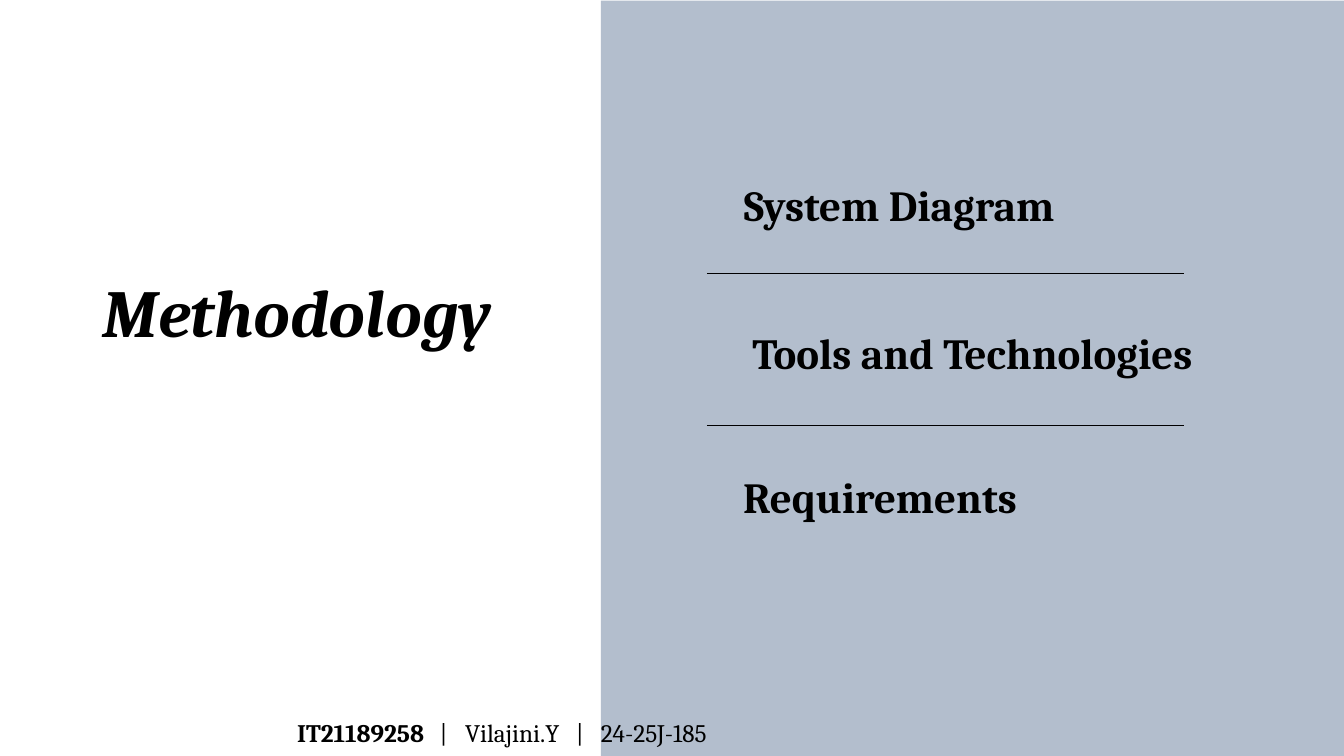
from dataclasses import dataclass

from lxml import etree
from pptx import Presentation
from pptx.dml.color import RGBColor
from pptx.enum.shapes import MSO_CONNECTOR, MSO_SHAPE
from pptx.enum.text import PP_ALIGN
from pptx.oxml.ns import qn
from pptx.slide import Slide
from pptx.text.text import _Paragraph
from pptx.util import Inches, Pt

LEFT, CENTER = PP_ALIGN.LEFT, PP_ALIGN.CENTER
RECTANGLE = MSO_SHAPE.RECTANGLE
STRAIGHT = MSO_CONNECTOR.STRAIGHT

FONT = "Cambria"
COLORS = {"panel": "B3BECD", "ink": "000000"}
LINE_HEIGHT = 1.2
TOPIC_SIZE = 46
DIVIDER_LEFT, DIVIDER_RIGHT = 10.52, 17.62
DIVIDER_TOPS = (4.07, 6.33)
FOOTER_TABS = ((2.18, "ctr"), (2.5, "l"), (4.21, "ctr"), (4.52, "l"))


@dataclass
class Label:
    text: str
    left: float
    top: float
    width: float
    height: float
    size: float
    align: PP_ALIGN = CENTER


TITLE = Label("Methodology", 1.21, 4.03, 6.42, 1.23, 72)
TOPICS = (
    Label("System Diagram", 10.83, 2.66, 5.1, 0.78, TOPIC_SIZE),
    Label("Tools and Technologies", 10.71, 4.86, 7.52, 0.78, TOPIC_SIZE),
    Label("Requirements", 10.52, 7, 5.15, 0.78, TOPIC_SIZE),
)
FOOTER = Label("IT21189258", 4.42, 10.68, 10.99, 0.49, 27, LEFT)
FOOTER_DETAILS = "\t|\tVilajini.Y\t|\t24-25J-185"


def rgb(name: str) -> RGBColor:
    return RGBColor.from_string(COLORS[name])


def add_run(p: _Paragraph, text: str, size: float, bold: bool = True):
    r = p.add_run()
    r.text = text
    r.font.name = FONT
    r.font.size = Pt(size)
    r.font.bold = bold
    r.font.color.rgb = rgb("ink")
    return r


def add_label(s: Slide, label: Label) -> _Paragraph:
    box = s.shapes.add_textbox(Inches(label.left), Inches(label.top),
                               Inches(label.width), Inches(label.height))
    tf = box.text_frame
    tf.word_wrap = True
    tf.margin_left = tf.margin_right = tf.margin_top = tf.margin_bottom = 0
    p = tf.paragraphs[0]
    p.alignment = label.align
    p.line_spacing = Pt(label.size * LINE_HEIGHT)
    add_run(p, label.text, label.size)
    return p


def add_panel(s: Slide) -> None:
    panel = s.shapes.add_shape(RECTANGLE, Inches(8.94), Inches(0.01),
                               Inches(11.06), Inches(11.24))
    panel.shadow.inherit = False
    panel.fill.solid()
    panel.fill.fore_color.rgb = rgb("panel")
    panel.line.fill.background()


def add_divider(s: Slide, top: float) -> None:
    line = s.shapes.add_connector(STRAIGHT, Inches(DIVIDER_LEFT), Inches(top),
                                  Inches(DIVIDER_RIGHT), Inches(top))
    line.line.color.rgb = rgb("ink")
    line.line.width = Pt(0.75)
    etree.SubElement(line._element.spPr, qn("a:effectLst"))


def add_footer(s: Slide) -> None:
    p = add_label(s, FOOTER)
    tabs = etree.SubElement(p._p.get_or_add_pPr(), qn("a:tabLst"))
    for position, align in FOOTER_TABS:
        etree.SubElement(tabs, qn("a:tab"), pos=str(Inches(position)), algn=align)
    add_run(p, FOOTER_DETAILS, FOOTER.size, bold=False)


def main() -> None:
    prs = Presentation()
    prs.slide_width, prs.slide_height = Inches(20), Inches(11.25)
    s = prs.slides.add_slide(prs.slide_layouts[6])

    add_panel(s)
    for top in DIVIDER_TOPS:
        add_divider(s, top)
    add_footer(s)
    title = add_label(s, TITLE).runs[0]
    title.font.italic = True
    title.font._element.set("spc", "-10")
    for topic in TOPICS:
        add_label(s, topic)

    prs.save("out.pptx")


if __name__ == "__main__":
    main()
